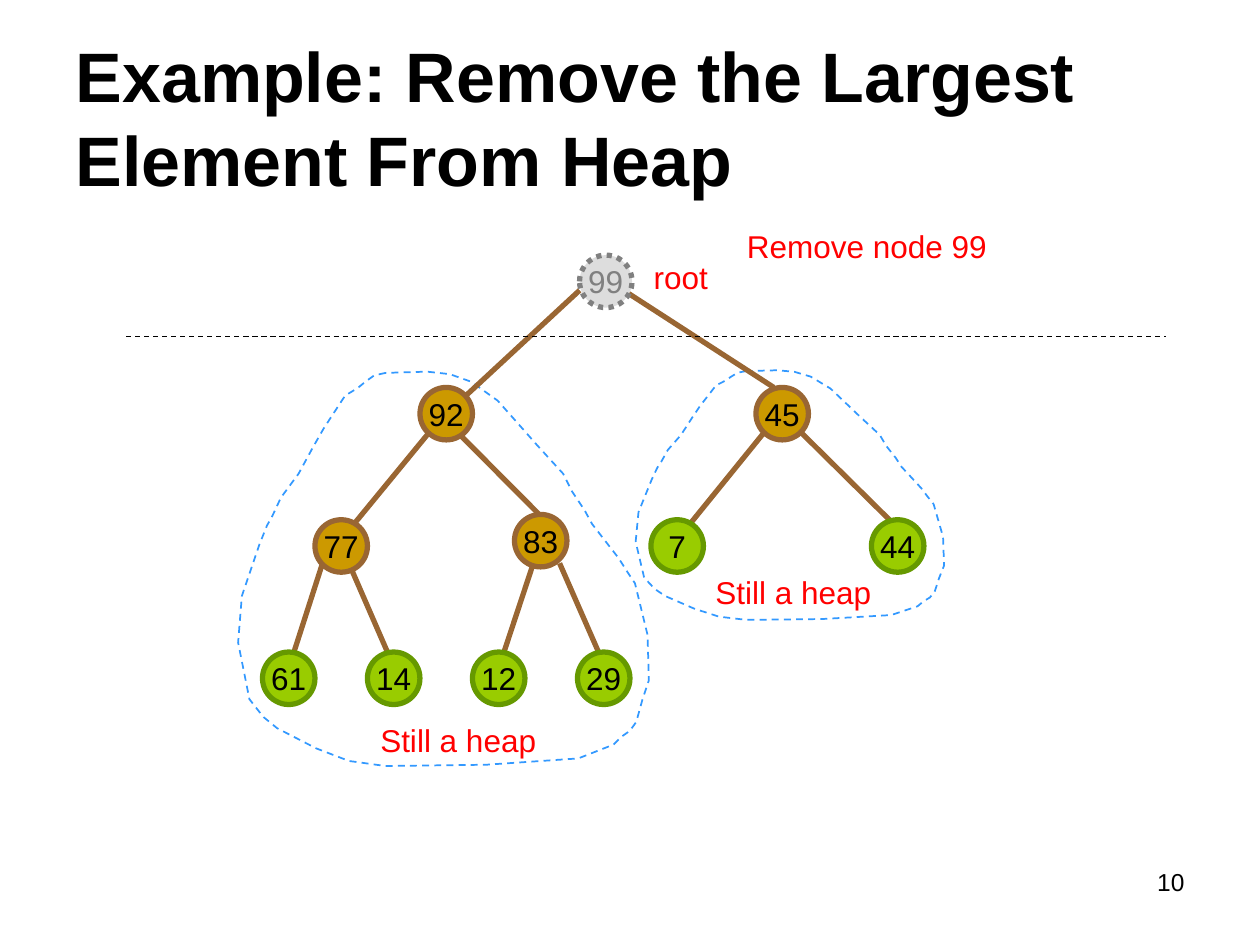
from lxml import etree
from pptx import Presentation
from pptx.dml.color import RGBColor
from pptx.enum.dml import MSO_LINE
from pptx.enum.shapes import MSO_CONNECTOR, MSO_SHAPE
from pptx.enum.text import MSO_ANCHOR, MSO_AUTO_SIZE, PP_ALIGN
from pptx.oxml.ns import qn
from pptx.util import Inches, Pt

STRAIGHT = MSO_CONNECTOR.STRAIGHT
ELLIPSE = MSO_SHAPE.OVAL
DASH, DOTS = MSO_LINE.DASH, MSO_LINE.ROUND_DOT
TOP, MIDDLE = MSO_ANCHOR.TOP, MSO_ANCHOR.MIDDLE
LEFT, CENTER, RIGHT = PP_ALIGN.LEFT, PP_ALIGN.CENTER, PP_ALIGN.RIGHT

SLIDE_WIDTH, SLIDE_HEIGHT = 10, 7.5
COLUMN = SLIDE_WIDTH / 24
ROW = SLIDE_HEIGHT * 0.14
FIRST_ROW = SLIDE_HEIGHT * 0.27
DIAMETER = COLUMN

BLACK, RED, BROWN, BLUE = "000000", "FF0000", "996633", "3399FF"
TITLE = "Example: Remove the Largest Element From Heap"
PAGE_NUMBER = "10"

STYLES = {
    "removed": {"fill": "DDDDDD", "line": "808080", "text": "808080", "dash": DOTS},
    "inner": {"fill": "CC9900", "line": BROWN, "text": BLACK, "dash": None},
    "leaf": {"fill": "99CC00", "line": "669900", "text": BLACK, "dash": None},
}
NODES = {
    "99": (11.04, 0, "removed"),
    "92": (8, 1, "inner"),
    "45": (14.4, 1, "inner"),
    "77": (6, 2, "inner"),
    "83": (9.8, 1.96, "inner"),
    "7": (12.4, 2, "leaf"),
    "44": (16.6, 2, "leaf"),
    "61": (5, 3, "leaf"),
    "14": (7, 3, "leaf"),
    "12": (9, 3, "leaf"),
    "29": (11, 3, "leaf"),
}
EDGES = [
    ("99", "92", (0, 0.67), (0.86, 0.17)),
    ("99", "45", (0.84, 0.67), (0.34, 0)),
    ("92", "77", (0.19, 0.84), (0.67, 0.17)),
    ("92", "83", (0.7, 0.84), (0.57, 0.1)),
    ("45", "7", (0.17, 0.84), (0.67, 0.17)),
    ("45", "44", (0.84, 0.84), (0.34, 0)),
    ("77", "61", (0.14, 0.84), (0.6, 0)),
    ("77", "14", (0.65, 0.84), (0.38, 0)),
    ("83", "12", (0.36, 0.93), (0.6, 0)),
    ("83", "29", (0.86, 0.93), (0.4, 0)),
]
LABELS = [
    ("root", 5.09, 2, 1.33),
    ("Remove node 99", 5.83, 1.75, 2.25),
    ("Still a heap", 2.92, 5.67, 1.5),
    ("Still a heap", 5.58, 4.5, 1.5),
]
LEVEL_LINE = (1, 2.67, 9.25, 2.67)

HEAP_FRAMES = [(1.83, 2.92, 3.33, 3.16), (5, 2.92, 2.5, 2)]
HEAP_OUTLINE = [
    (3.06, 2.96), (2.97, 2.98), (2.9, 3.03), (2.84, 3.08), (2.74, 3.14),
    (2.57, 3.4), (2.49, 3.54), (2.37, 3.76), (2.23, 3.95), (2.16, 4.1),
    (2.12, 4.17), (2.06, 4.32), (1.92, 4.73), (1.89, 5.1), (1.98, 5.55),
    (2.09, 5.69), (2.2, 5.78), (2.51, 5.94), (2.77, 6.04), (3.06, 6.08),
    (3.86, 6.07), (4.59, 6.02), (4.87, 5.91), (4.93, 5.85), (5, 5.8),
    (5.05, 5.73), (5.1, 5.55), (5.15, 5.4), (5.14, 5.04), (5.04, 4.63),
    (4.98, 4.54), (4.91, 4.43), (4.77, 4.25), (4.7, 4.16), (4.64, 4.05),
    (4.54, 3.9), (4.47, 3.76), (4.26, 3.53), (4.11, 3.36), (3.95, 3.18),
    (3.74, 3.03), (3.57, 2.97), (3.39, 2.95),
]


def color(value):
    return RGBColor.from_string(value)


def write(shape, text, size=18, ink=BLACK, bold=False, align=LEFT, anchor=TOP, wrap=True):
    frame = shape.text_frame
    frame.auto_size = MSO_AUTO_SIZE.NONE
    frame.word_wrap = wrap
    frame.vertical_anchor = anchor
    para = frame.paragraphs[0]
    para.alignment = align
    span = para.add_run()
    span.text = text
    span.font.name = "Arial"
    span.font.size = Pt(size)
    span.font.bold = bold
    span.font.color.rgb = color(ink)


def draw_line(shape, ink, width, dash=None):
    shape.line.color.rgb = color(ink)
    shape.line.width = Pt(width)
    if dash:
        shape.line.dash_style = dash


def add_text(page, text, box, **style):
    write(page.shapes.add_textbox(*map(Inches, box)), text, **style)


def add_line(page, ends, ink, width, dash=None):
    connector = page.shapes.add_connector(STRAIGHT, *map(Inches, ends))
    draw_line(connector, ink, width, dash)
    etree.SubElement(connector._element.spPr, qn("a:effectLst"))


def add_outline(page, frame):
    base_left, base_top, base_width, base_height = HEAP_FRAMES[0]
    left, top, width, height = frame
    points = [
        (Inches(left + (x - base_left) / base_width * width),
         Inches(top + (y - base_top) / base_height * height))
        for x, y in HEAP_OUTLINE
    ]
    builder = page.shapes.build_freeform(*points[0])
    builder.add_line_segments(points[1:], close=True)
    outline = builder.convert_to_shape()
    outline.shadow.inherit = False
    outline.fill.background()
    draw_line(outline, BLUE, 1, DASH)


def node_corner(name):
    column, row, _ = NODES[name]
    return column * COLUMN, FIRST_ROW + row * ROW


def node_point(name, share):
    left, top = node_corner(name)
    return left + share[0] * DIAMETER, top + share[1] * DIAMETER


def add_node(page, name):
    style = STYLES[NODES[name][2]]
    box = (*node_corner(name), DIAMETER, DIAMETER)
    node = page.shapes.add_shape(ELLIPSE, *map(Inches, box))
    node.shadow.inherit = False
    node.fill.solid()
    node.fill.fore_color.rgb = color(style["fill"])
    draw_line(node, style["line"], 3, style["dash"])
    write(node, name, ink=style["text"], align=CENTER, anchor=MIDDLE, wrap=False)


def main():
    deck = Presentation()
    deck.slide_width, deck.slide_height = Inches(SLIDE_WIDTH), Inches(SLIDE_HEIGHT)
    page = deck.slides.add_slide(deck.slide_layouts[5])
    title = page.shapes.title
    title.left, title.top, title.width, title.height = map(Inches, (0.5, 0.3, 9, 1.25))
    write(title, TITLE, size=40, bold=True, anchor=MIDDLE)

    for frame in HEAP_FRAMES:
        add_outline(page, frame)
    for parent, child, start, end in EDGES:
        add_line(page, node_point(parent, start) + node_point(child, end), BROWN, 3)
    for name in NODES:
        add_node(page, name)
    add_line(page, LEVEL_LINE, BLACK, 0.75, DASH)
    for text, left, top, width in LABELS:
        add_text(page, text, (left, top, width, 0.4), ink=RED)
    add_text(page, PAGE_NUMBER, (7.17, 6.83, 2.33, 0.52), size=14, align=RIGHT)
    deck.save("out.pptx")


if __name__ == "__main__":
    main()
